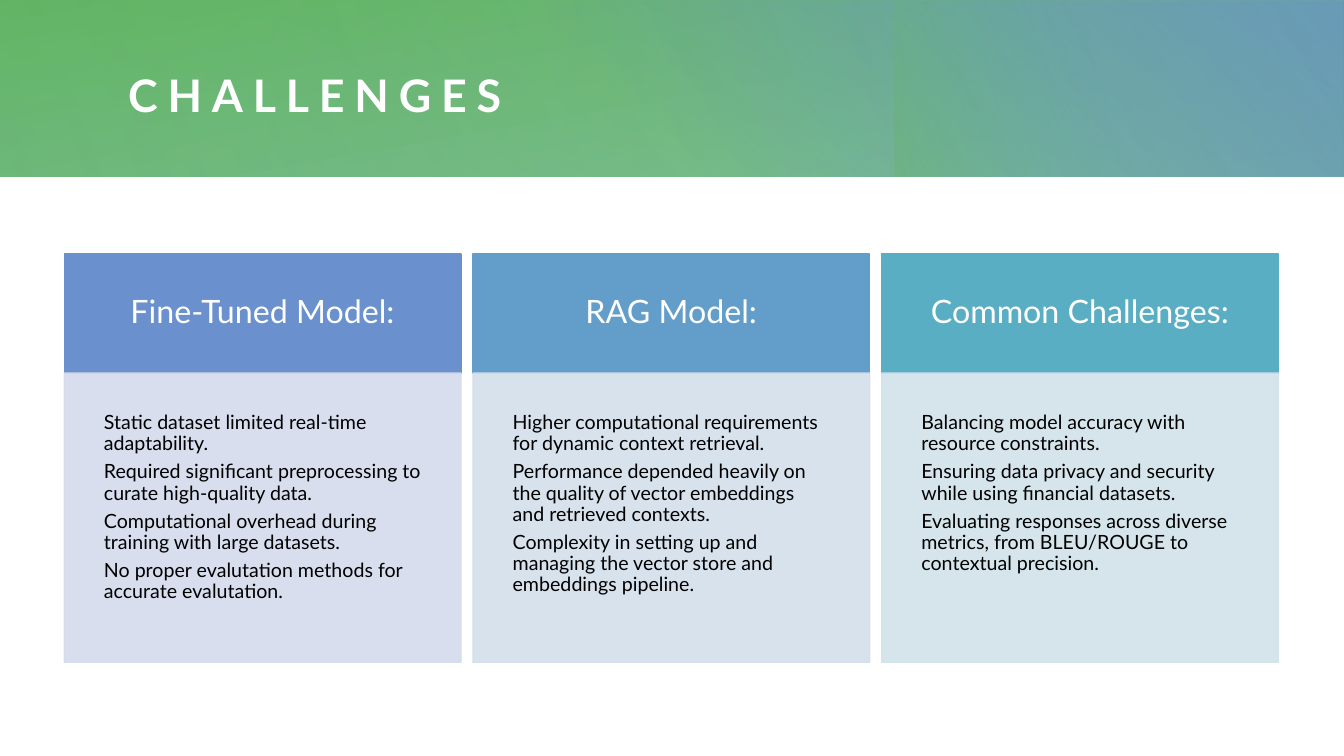
from dataclasses import dataclass

import pptx
import pptx.dml.color
import pptx.enum.shapes
import pptx.enum.text
import pptx.oxml
import pptx.oxml.ns
import pptx.util

Cm = pptx.util.Cm
Pt = pptx.util.Pt
RGBColor = pptx.dml.color.RGBColor
PP_ALIGN = pptx.enum.text.PP_ALIGN
MSO_ANCHOR = pptx.enum.text.MSO_ANCHOR
RECTANGLE = pptx.enum.shapes.MSO_SHAPE.RECTANGLE
qn = pptx.oxml.ns.qn

WHITE = RGBColor(0xFF, 0xFF, 0xFF)
BLACK = RGBColor(0x00, 0x00, 0x00)
GREEN = RGBColor(0x62, 0xB6, 0x5E)
SEA_GREEN = RGBColor(0x68, 0xB4, 0x84)
TEAL = RGBColor(0x5D, 0xB4, 0xA2)
BLUE = RGBColor(0x6A, 0x90, 0xCE)
SKY = RGBColor(0x62, 0x9E, 0xC9)
AQUA = RGBColor(0x5A, 0xAE, 0xC3)
PALE_BLUE = RGBColor(0xD4, 0xDB, 0xED)
PALE_SKY = RGBColor(0xD3, 0xDF, 0xEB)
PALE_AQUA = RGBColor(0xD1, 0xE3, 0xE9)

FONT = "Lato"
SLIDE_W, SLIDE_H, BANNER_H = 33.87, 19.05, 4.45
CARD_LEFT, CARD_TOP, CARD_W, CARD_PITCH = 1.62, 6.4, 10.0, 10.3
HEADER_H, BODY_H = 3.0, 7.29


@dataclass
class Stop:
    position: float
    color: RGBColor
    opacity: int = 100


@dataclass
class Layer:
    left: float
    top: float
    width: float
    height: float
    angle: int  # clockwise degrees
    start: Stop
    end: Stop
    rotation: int = 0


@dataclass
class Card:
    title: str
    points: list[str]
    header_color: RGBColor
    body_color: RGBColor


BANNER = [
    Layer(0, 0, SLIDE_W, BANNER_H, 260, Stop(0, SEA_GREEN, 83), Stop(1, GREEN)),
    Layer(12.22, 0.02, 21.65, 4.43, 310, Stop(0.22, BLUE, 0), Stop(0.99, BLUE)),
    Layer(25.07, -2.52, BANNER_H, 9.5, 250, Stop(0.45, TEAL, 0),
          Stop(0.99, GREEN, 33), 270),
    Layer(6.81, 0, 27.03, BANNER_H, 330, Stop(0, SEA_GREEN, 30),
          Stop(0.99, SEA_GREEN, 0), 180),
    Layer(0, 0, 21.97, BANNER_H, 340, Stop(0, SEA_GREEN, 21),
          Stop(0.99, SEA_GREEN, 0)),
]

CARDS = [
    Card("Fine-Tuned Model:", [
        "Static dataset limited real-time adaptability.",
        "Required significant preprocessing to curate high-quality data.",
        "Computational overhead during training with large datasets.",
        "No proper evalutation methods for accurate evalutation.",
    ], BLUE, PALE_BLUE),
    Card("RAG Model:", [
        "Higher computational requirements for dynamic context retrieval.",
        "Performance depended heavily on the quality of vector embeddings "
        "and retrieved contexts.",
        "Complexity in setting up and managing the vector store and "
        "embeddings pipeline.",
    ], SKY, PALE_SKY),
    Card("Common Challenges:", [
        "Balancing model accuracy with resource constraints.",
        "Ensuring data privacy and security while using financial datasets.",
        "Evaluating responses across diverse metrics, from BLEU/ROUGE to "
        "contextual precision.",
    ], AQUA, PALE_AQUA),
]


def set_opacity(color_element, percent: int) -> None:
    alpha = pptx.oxml.parse_xml(
        f'<a:alpha {pptx.oxml.ns.nsdecls("a")} val="{percent * 1000}"/>')
    color_element.append(alpha)


def add_rect(slide, left: float, top: float, width: float, height: float):
    sp = slide.shapes.add_shape(
        RECTANGLE, Cm(left), Cm(top), Cm(width), Cm(height))
    sp.shadow.inherit = False
    return sp


def add_layer(slide, layer: Layer) -> None:
    sp = add_rect(slide, layer.left, layer.top, layer.width, layer.height)
    sp.rotation = layer.rotation
    sp.line.fill.background()
    sp.fill.gradient()
    sp.fill.gradient_angle = 360 - layer.angle
    stops = (layer.start, layer.end)
    for gradient_stop, stop in zip(sp.fill.gradient_stops, stops):
        gradient_stop.position = stop.position
        gradient_stop.color.rgb = stop.color
    for color, stop in zip(sp._element.spPr.iter(qn("a:srgbClr")), stops):
        set_opacity(color, stop.opacity)


def add_panel(slide, left: float, top: float, height: float,
              color: RGBColor, opacity: int = 100):
    sp = add_rect(slide, left, top, CARD_W, height)
    sp.fill.solid()
    sp.fill.fore_color.rgb = color
    sp.line.color.rgb = color
    sp.line.width = Pt(1)
    if opacity < 100:
        for element in sp._element.spPr.iter(qn("a:srgbClr")):
            set_opacity(element, opacity)
    return sp


def write(sp, paragraphs: list[str], *, size: float, color: RGBColor,
          inset: float = 0, align=PP_ALIGN.LEFT, anchor=MSO_ANCHOR.MIDDLE,
          bold: bool = False, line_spacing: float = 0.9,
          space_after: float = 0, letter_spacing: int = 0) -> None:
    tf = sp.text_frame
    tf.word_wrap = True
    tf.vertical_anchor = anchor
    tf.margin_left = tf.margin_right = Cm(inset)
    tf.margin_top = tf.margin_bottom = Cm(inset)
    for i, text in enumerate(paragraphs):
        p = tf.add_paragraph() if i else tf.paragraphs[0]
        p.alignment = align
        p.line_spacing = line_spacing
        p.space_after = Pt(space_after)
        r = p.add_run()
        r.text = text
        r.font.name = FONT
        r.font.size = Pt(size)
        r.font.bold = bold
        r.font.color.rgb = color
        if letter_spacing:
            r.font._element.set("spc", str(letter_spacing * 100))


def add_card(slide, card: Card, left: float) -> None:
    header = add_panel(slide, left, CARD_TOP, HEADER_H, card.header_color)
    write(header, [card.title], size=23, color=WHITE, inset=0.8,
          align=PP_ALIGN.CENTER)
    body = add_panel(slide, left, CARD_TOP + HEADER_H, BODY_H,
                     card.body_color, 90)
    write(body, card.points, size=14, color=BLACK, inset=1,
          anchor=MSO_ANCHOR.TOP, space_after=5)


def main() -> None:
    prs = pptx.Presentation()
    prs.slide_width, prs.slide_height = Cm(SLIDE_W), Cm(SLIDE_H)
    slide = prs.slides.add_slide(prs.slide_layouts[6])

    # Banner of overlaid gradients
    for layer in BANNER:
        add_layer(slide, layer)

    # Title
    title = slide.shapes.add_textbox(Cm(3.23), Cm(1.04), Cm(28.83), Cm(2.69))
    write(title, ["CHALLENGES"], size=32, color=WHITE, bold=True,
          line_spacing=1.0, letter_spacing=7)

    # Three cards
    for i, card in enumerate(CARDS):
        add_card(slide, card, CARD_LEFT + i * CARD_PITCH)

    prs.save("out.pptx")


if __name__ == "__main__":
    main()
